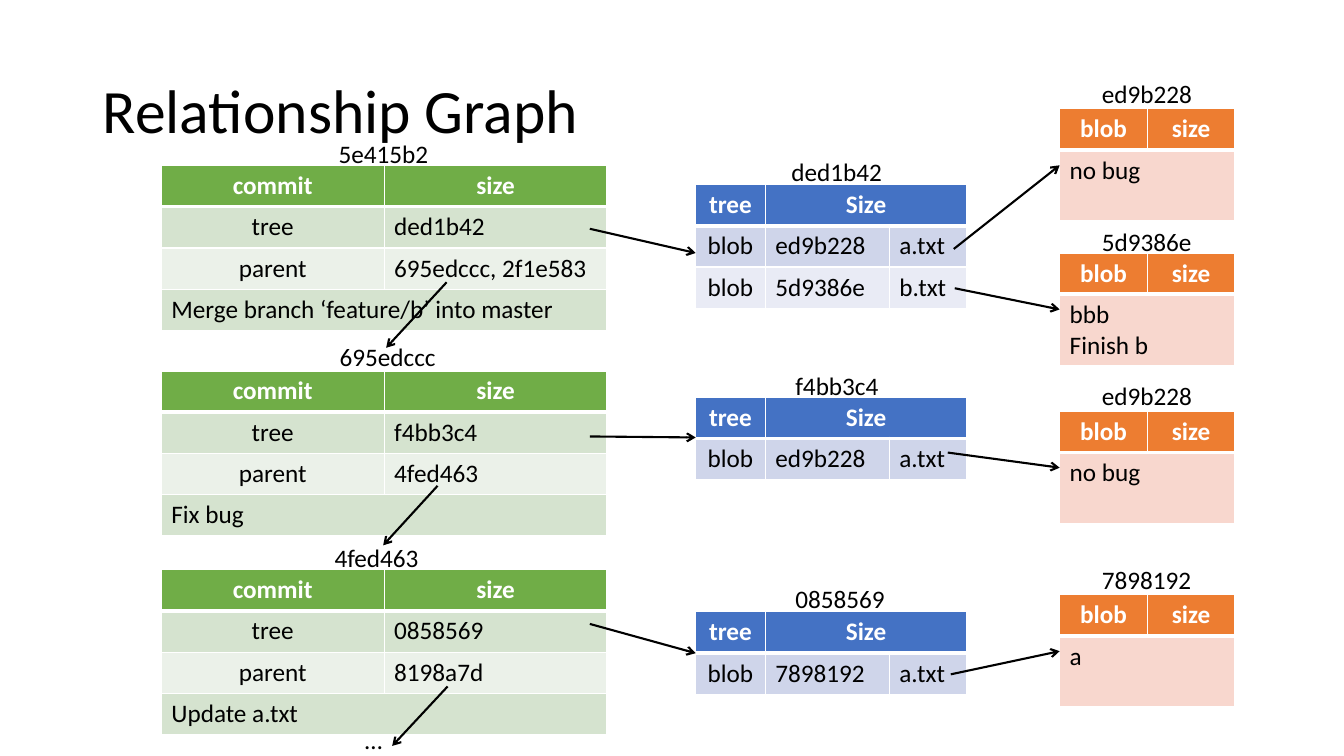
"""Build the Relationship Graph slide: commits, trees and blobs joined by arrows."""
import pptx
import pptx.util
import pptx.dml.color
import pptx.enum.shapes
import pptx.enum.text
import pptx.oxml
import pptx.oxml.ns

Inches = pptx.util.Inches
Pt = pptx.util.Pt
CENTER = pptx.enum.text.PP_ALIGN.CENTER
NS = pptx.oxml.ns.nsdecls("a")


def color(hex_string):
    return pptx.dml.color.RGBColor.from_string(hex_string)


def add_text(p, text, size=18, hex_string="000000", bold=False):
    r = p.add_run()
    r.text = text
    r.font.name = "Calibri"
    r.font.size = Pt(size)
    r.font.bold = bold
    r.font.color.rgb = color(hex_string)


prs = pptx.Presentation()
prs.slide_width = Inches(13.33)
prs.slide_height = Inches(7.5)
s = prs.slides.add_slide(prs.slide_layouts[5])

title = s.shapes.title
title.left, title.top = Inches(0.92), Inches(0.4)
title.width, title.height = Inches(11.5), Inches(1.45)
tf = title.text_frame
tf.vertical_anchor = pptx.enum.text.MSO_ANCHOR.MIDDLE
p = tf.paragraphs[0]
p.alignment = pptx.enum.text.PP_ALIGN.LEFT
p.line_spacing = 0.9
add_text(p, "Relationship Graph", 44)

# kind: left, column widths, row heights, header and band fills
styles = {
    "commit": (1.6, [2.21, 2.21], [0.41, 0.41, 0.41, 0.4], ["70AD47", "D5E3CF", "EBF1E9"]),
    "tree": (6.9, [0.69, 1.23, 0.77], [0.41, 0.41, 0.41], ["4472C4", "CFD5EA", "E9EBF5"]),
    "blob": (10.51, [0.87, 0.87], [0.41, 0.7], ["ED7D31", "F8D7CE", "F8D7CE"]),
}

# None marks a cell merged into the one on its left
objects = [
    ("commit", 1.64, [["tree", "ded1b42"], ["parent", "695edccc, 2f1e583"],
                      ["Merge branch ‘feature/b’ into master", None]]),
    ("commit", 3.68, [["tree", "f4bb3c4"], ["parent", "4fed463"], ["Fix bug", None]]),
    ("commit", 5.65, [["tree", "0858569"], ["parent", "8198a7d"], ["Update a.txt", None]]),
    ("tree", 1.83, [["blob", "ed9b228", "a.txt"], ["blob", "5d9386e", "b.txt"]]),
    ("tree", 3.94, [["blob", "ed9b228", "a.txt"]]),
    ("tree", 6.07, [["blob", "7898192", "a.txt"]]),
    ("blob", 1.08, [["no bug", None]]),
    ("blob", 2.51, [["bbb\nFinish b", None]]),
    ("blob", 4.08, [["no bug", None]]),
    ("blob", 5.9, [["a", None]]),
]
headers = {"commit": ["commit", "size"], "tree": ["tree", "Size", None], "blob": ["blob", "size"]}

for kind, top, body in objects:
    left, widths, heights, fills = styles[kind]
    rows = [headers[kind]] + body
    heights = heights[:len(rows)]
    frame = s.shapes.add_table(len(rows), len(widths), Inches(left), Inches(top),
                               Inches(sum(widths)), Inches(sum(heights)))
    table = frame.table
    for column, width in zip(table.columns, widths):
        column.width = Inches(width)
    for i, row in enumerate(rows):
        table.rows[i].height = Inches(heights[i])
        fill = fills[0] if i == 0 else fills[2 - i % 2]
        for j, text in enumerate(row):
            cell = table.cell(i, j)
            cell.fill.solid()
            cell.fill.fore_color.rgb = color(fill)
            for k, side in enumerate("LRTB"):
                thick = (i == 0 and side == "B") or (i == 1 and side == "T")
                cell._tc.get_or_add_tcPr().insert(k, pptx.oxml.parse_xml(
                    f'<a:ln{side} {NS} w="{Pt(3 if thick else 1)}"><a:solidFill>'
                    f'<a:srgbClr val="FFFFFF"/></a:solidFill></a:ln{side}>'))
            if text is None:
                table.cell(i, j - 1).merge(cell)
                continue
            tf = cell.text_frame
            for n, line in enumerate(text.split("\n")):
                p = tf.add_paragraph() if n else tf.paragraphs[0]
                if i == 0 or (j == 0 and None not in row):
                    p.alignment = CENTER
                add_text(p, line, 18, "FFFFFF" if i == 0 else "000000", i == 0)

labels = [
    ("5e415b2", 3.26, 1.32, 1.1), ("695edccc", 3.27, 3.34, 1.17),
    ("4fed463", 3.22, 5.33, 1.04), ("…", 3.52, 7.14, 0.38),
    ("ded1b42", 7.75, 1.5, 1.11), ("f4bb3c4", 7.79, 3.62, 1.04),
    ("0858569", 7.79, 5.74, 1.1), ("ed9b228", 10.83, 0.73, 1.11),
    ("5d9386e", 10.83, 2.2, 1.1), ("ed9b228", 10.83, 3.72, 1.11),
    ("7898192", 10.83, 5.55, 1.11),
]
for text, left, top, width in labels:
    sp = s.shapes.add_textbox(Inches(left), Inches(top), Inches(width), Inches(0.4))
    tf = sp.text_frame
    tf.word_wrap = False
    tf.auto_size = pptx.enum.text.MSO_AUTO_SIZE.SHAPE_TO_FIT_TEXT
    add_text(tf.paragraphs[0], text)

arrows = [
    (5.85, 2.27, 6.9, 2.51), (5.85, 4.33, 6.9, 4.34), (5.85, 6.19, 6.9, 6.48),
    (9.46, 2.47, 10.51, 1.64), (9.47, 2.86, 10.51, 3.07),
    (9.4, 4.49, 10.51, 4.64), (9.43, 6.69, 10.51, 6.46),
    (4.43, 2.8, 3.83, 3.45), (4.34, 4.82, 3.8, 5.41), (4.44, 6.81, 3.89, 7.4),
]
for ends in arrows:
    arrow = s.shapes.add_connector(pptx.enum.shapes.MSO_CONNECTOR.STRAIGHT,
                                   *[Inches(value) for value in ends])
    arrow.line.color.rgb = color("000000")
    arrow.line.width = Pt(1.5)
    arrow.line._get_or_add_ln().append(pptx.oxml.parse_xml(f'<a:tailEnd {NS} type="arrow"/>'))
    arrow._element.spPr.append(pptx.oxml.parse_xml(f"<a:effectLst {NS}/>"))

prs.save("out.pptx")
